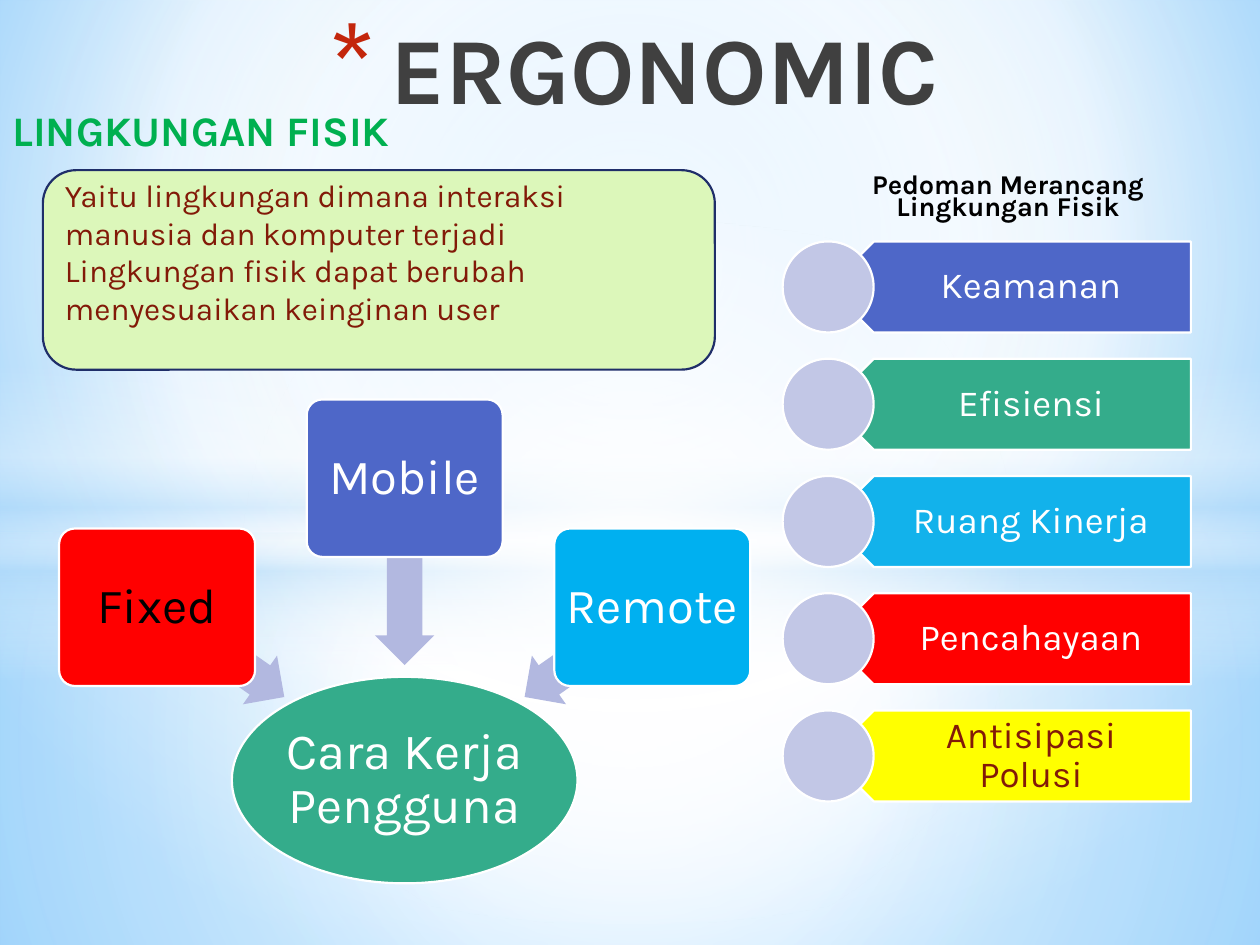
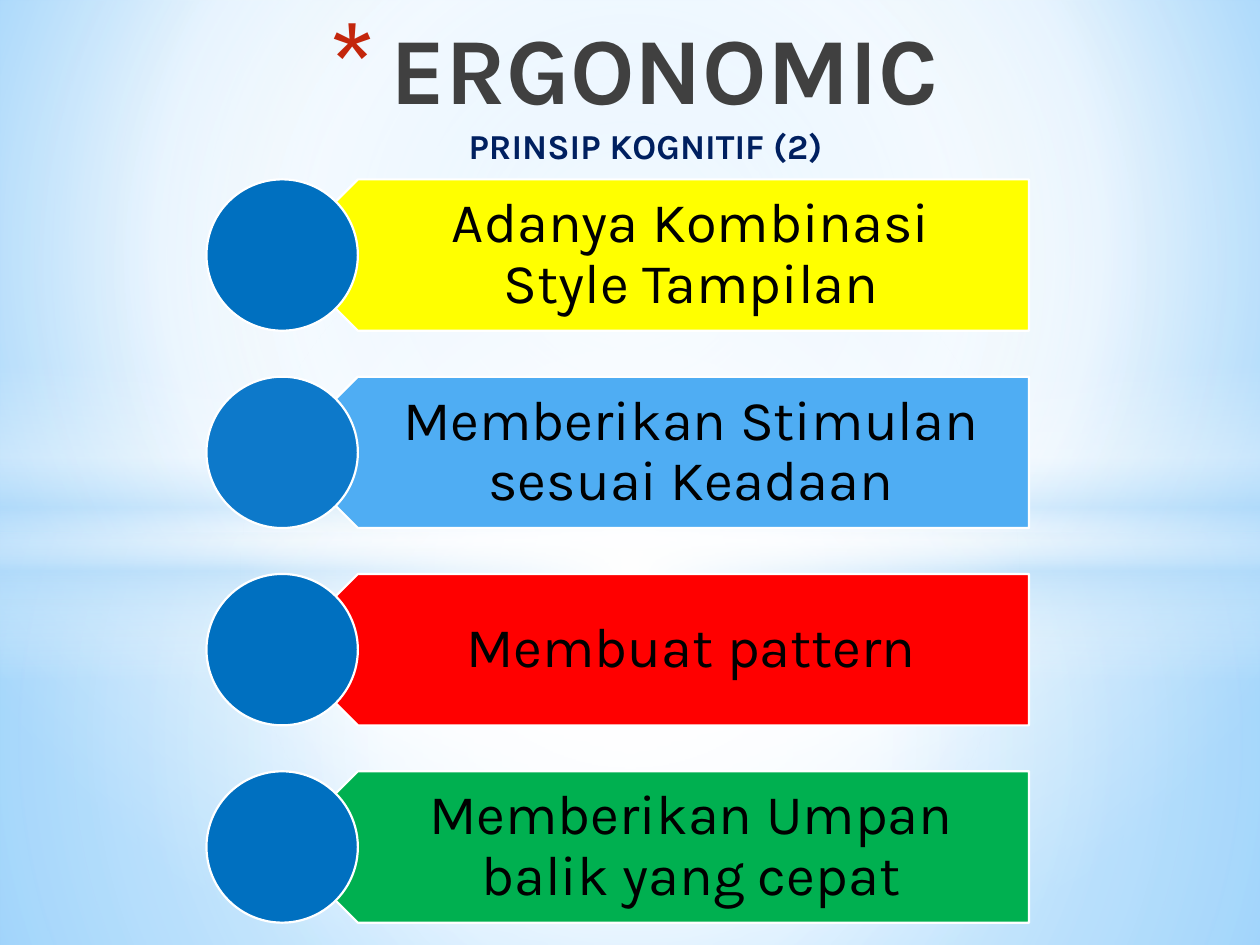
from lxml import etree
from pptx import Presentation
from pptx.dml.color import RGBColor
from pptx.enum.shapes import MSO_SHAPE
from pptx.enum.text import MSO_ANCHOR, PP_ALIGN
from pptx.oxml.ns import qn
from pptx.util import Pt

FONT = "Karla"
WHITE = RGBColor(0xFF, 0xFF, 0xFF)
BLACK = RGBColor(0x00, 0x00, 0x00)
CHARCOAL = RGBColor(0x40, 0x40, 0x40)
NAVY = RGBColor(0x00, 0x20, 0x60)
INK_BLUE = RGBColor(0x1F, 0x2E, 0x69)
INDIGO = RGBColor(0x4E, 0x67, 0xC8)
LAVENDER = RGBColor(0xC2, 0xC7, 0xE6)
ARROW_LAVENDER = RGBColor(0xB2, 0xB8, 0xE0)
TEAL = RGBColor(0x34, 0xAC, 0x8B)
CYAN = RGBColor(0x12, 0xB2, 0xEB)
AZURE = RGBColor(0x00, 0xB0, 0xF0)
SKY = RGBColor(0x4F, 0xAD, 0xF3)
BLUE = RGBColor(0x00, 0x70, 0xC0)
MID_BLUE = RGBColor(0x0D, 0x79, 0xCA)
GREEN = RGBColor(0x00, 0xB0, 0x50)
LIME = RGBColor(0xDC, 0xF7, 0xBA)
RED = RGBColor(0xFF, 0x00, 0x00)
BULLET_RED = RGBColor(0xC3, 0x26, 0x0C)
BROWN = RGBColor(0x82, 0x1A, 0x08)
YELLOW = RGBColor(0xFF, 0xFF, 0x00)
PALE_BLUE = RGBColor(0x9E, 0xD5, 0xFF)
EDGE_BLUE = RGBColor(0x5B, 0xB9, 0xFF)
MIST = RGBColor(0xB4, 0xDC, 0xFA)

CENTRE_FOCUS = (50, 50, 50, 50)
BACKGROUND_STOPS = [(0, PALE_BLUE, 100), (60, WHITE, 100), (100, EDGE_BLUE, 100)]
BACKDROP = [
    (MSO_SHAPE.RECTANGLE, 304.5, 235.5, CENTRE_FOCUS,
     [(0, WHITE, 91), (37, WHITE, 76), (100, MIST, 79)]),
    (MSO_SHAPE.RECTANGLE, 0, 304.5, CENTRE_FOCUS,
     [(0, WHITE, 89), (48, WHITE, 62), (100, MIST, 79)]),
    (MSO_SHAPE.RECTANGLE, 209, 180, None,
     [(0, WHITE, 0), (29, WHITE, 30), (45, MIST, 40),
      (55, WHITE, 26), (65, MIST, 60), (100, WHITE, 0)]),
    (MSO_SHAPE.OVAL, 126, 402, CENTRE_FOCUS, [(0, WHITE, 100), (54, WHITE, 0)]),
]


def set_gradient(fill, owner, stops, focus=None):
    fill.gradient()
    gradient = owner.find(".//" + qn("a:gradFill"))
    gradient.clear()
    gradient.set("rotWithShape", "1")
    stop_list = etree.SubElement(gradient, qn("a:gsLst"))
    for position, color, opacity in stops:
        stop = etree.SubElement(stop_list, qn("a:gs"), pos=str(position * 1000))
        tint = etree.SubElement(stop, qn("a:srgbClr"), val=str(color))
        if opacity < 100:
            etree.SubElement(tint, qn("a:alpha"), val=str(opacity * 1000))
    if focus:
        radial = etree.SubElement(gradient, qn("a:path"))
        radial.set("path", "circle")
        sides = {side: str(value * 1000) for side, value in zip("ltrb", focus)}
        etree.SubElement(radial, qn("a:fillToRect"), **sides)
    else:
        etree.SubElement(gradient, qn("a:lin"), ang="5400000", scaled="0")


def add_block(slide, preset, left, top, width, height, color=None, outline=None):
    block = slide.shapes.add_shape(preset, Pt(left), Pt(top), Pt(width), Pt(height))
    block.shadow.inherit = False
    if color is not None:
        block.fill.solid()
        block.fill.fore_color.rgb = color
    if outline is None:
        block.line.fill.background()
    else:
        block.line.color.rgb = outline
        block.line.width = Pt(1.25)
    return block


def write(holder, paragraphs, size, color, bold=False, align=PP_ALIGN.CENTER,
          spacing=1.0, anchor=MSO_ANCHOR.MIDDLE, insets=(7.2, 3.6, 7.2, 3.6)):
    frame = holder.text_frame
    frame.word_wrap = True
    frame.vertical_anchor = anchor
    (frame.margin_left, frame.margin_top,
     frame.margin_right, frame.margin_bottom) = map(Pt, insets)
    for index, text in enumerate(paragraphs):
        paragraph = frame.add_paragraph() if index else frame.paragraphs[0]
        paragraph.alignment = align
        paragraph.line_spacing = spacing
        run = paragraph.add_run()
        run.text = text
        run.font.name = FONT
        run.font.size = Pt(size)
        run.font.bold = bold
        run.font.color.rgb = color


def add_label(slide, left, top, width, height, text, size, color, **style):
    label = slide.shapes.add_textbox(Pt(left), Pt(top), Pt(width), Pt(height))
    write(label, [text], size, color, **style)
    return label


def add_backdrop(slide):
    for preset, top, height, focus, stops in BACKDROP:
        glow = add_block(slide, preset, 0, top, 720, height)
        set_gradient(glow.fill, glow._element.spPr, stops, focus)


def add_title(slide, text):
    title = add_label(slide, 72, 2, 565, 60, text, 54, CHARCOAL, bold=True,
                      anchor=MSO_ANCHOR.TOP)
    properties = title.text_frame.paragraphs[0]._p.get_or_add_pPr()
    properties.set("marL", str(Pt(50.4)))
    properties.set("indent", str(-Pt(36)))
    bullet_color = etree.SubElement(properties, qn("a:buClr"))
    etree.SubElement(bullet_color, qn("a:srgbClr"), val=str(BULLET_RED))
    etree.SubElement(properties, qn("a:buSzPct"), val="128000")
    etree.SubElement(properties, qn("a:buFont"), typeface=FONT)
    etree.SubElement(properties, qn("a:buChar"), char="*")


def add_topic_slide(deck):
    slide = deck.slides.add_slide(deck.slide_layouts[6])
    add_backdrop(slide)
    add_title(slide, "ERGONOMIC")
    return slide


def add_disc_list(slide, left, top, right, disc, pitch, size, rows):
    band_left = left + disc / 2
    text_left = band_left + disc / 4
    insets = (0.44 * disc, 0.11 * disc, 0.22 * disc, 0.11 * disc)
    for index, (text, band_color, text_color, disc_color) in enumerate(rows):
        row_top = top + index * pitch
        band = add_block(slide, MSO_SHAPE.PENTAGON, band_left, row_top,
                         right - band_left, disc, band_color, WHITE)
        band.rotation = 180
        add_label(slide, text_left, row_top, right - text_left, disc, text, size,
                  text_color, spacing=0.9, insets=insets)
        add_block(slide, MSO_SHAPE.OVAL, left, row_top, disc, disc, disc_color, WHITE)


def add_work_modes(slide):
    hub = add_block(slide, MSO_SHAPE.OVAL, 132.5, 386.75, 197.5, 118, TEAL, WHITE)
    write(hub, ["Cara Kerja Pengguna"], 29, WHITE, spacing=0.9, insets=(1.5,) * 4)
    modes = [
        ("Fixed", 302, RED, BLACK, (81.5, 355.75, 89), 215),
        ("Mobile", 228.25, INDIGO, WHITE, (177.75, 309.5, 107), 270),
        ("Remote", 302, AZURE, WHITE, (291.75, 355.75, 89), 325),
    ]
    for index, (text, top, color, text_color, arrow_place, angle) in enumerate(modes):
        arrow_left, arrow_top, length = arrow_place
        arrow = add_block(slide, MSO_SHAPE.LEFT_ARROW, arrow_left, arrow_top,
                          length, 34, ARROW_LAVENDER)
        arrow.adjustments[0] = 0.6
        arrow.adjustments[1] = 0.5
        arrow.rotation = angle
        mode = add_block(slide, MSO_SHAPE.ROUNDED_RECTANGLE, 33.75 + index * 141.5,
                         top, 112, 90, color, WHITE)
        mode.adjustments[0] = 0.1
        write(mode, [text], 28, text_color, spacing=0.9, insets=(3,) * 4)


def add_physical_environment(deck):
    slide = add_topic_slide(deck)
    add_label(slide, 0, 62, 240, 36, "LINGKUNGAN FISIK", 24, GREEN, bold=True,
              align=PP_ALIGN.LEFT, spacing=0.8, anchor=MSO_ANCHOR.TOP)
    definition = add_block(slide, MSO_SHAPE.ROUNDED_RECTANGLE, 24.5, 97.25, 384, 114,
                           LIME, INK_BLUE)
    write(definition,
          ["Yaitu lingkungan dimana interaksi manusia dan komputer terjadi",
           "Lingkungan fisik dapat berubah menyesuaikan keinginan user"],
          18, BROWN, align=PP_ALIGN.LEFT, insets=(7.2, 3.6, 12, 24.6))
    add_disc_list(slide, 447.25, 138, 680.5, 52, 67, 21, [
        ("Keamanan", INDIGO, WHITE, LAVENDER),
        ("Efisiensi", TEAL, WHITE, LAVENDER),
        ("Ruang Kinerja", CYAN, WHITE, LAVENDER),
        ("Pencahayaan", RED, WHITE, LAVENDER),
        ("Antisipasi Polusi", YELLOW, BROWN, LAVENDER),
    ])
    add_label(slide, 486, 97, 180, 36, "Pedoman Merancang Lingkungan Fisik", 15.5,
              BLACK, bold=True, spacing=0.7, anchor=MSO_ANCHOR.TOP)
    add_work_modes(slide)


def add_cognitive_principles(deck):
    slide = add_topic_slide(deck)
    add_disc_list(slide, 118, 102.5, 588, 86.5, 112.75, 32, [
        ("Adanya Kombinasi Style Tampilan", YELLOW, BLACK, BLUE),
        ("Memberikan Stimulan sesuai Keadaan", SKY, BLACK, MID_BLUE),
        ("Membuat pattern", RED, BLACK, BLUE),
        ("Memberikan Umpan balik yang cepat", GREEN, BLACK, BLUE),
    ])
    add_label(slide, 192, 67.75, 354, 31.5, "PRINSIP KOGNITIF (2)", 20, NAVY,
              bold=True, anchor=MSO_ANCHOR.TOP)


def main():
    deck = Presentation()
    deck.slide_width = Pt(720)
    deck.slide_height = Pt(540)
    master = deck.slide_master
    set_gradient(master.background.fill, master._element.cSld,
                 BACKGROUND_STOPS, (20, 10, 20, 60))
    add_physical_environment(deck)
    add_cognitive_principles(deck)
    deck.save("out.pptx")


if __name__ == "__main__":
    main()
